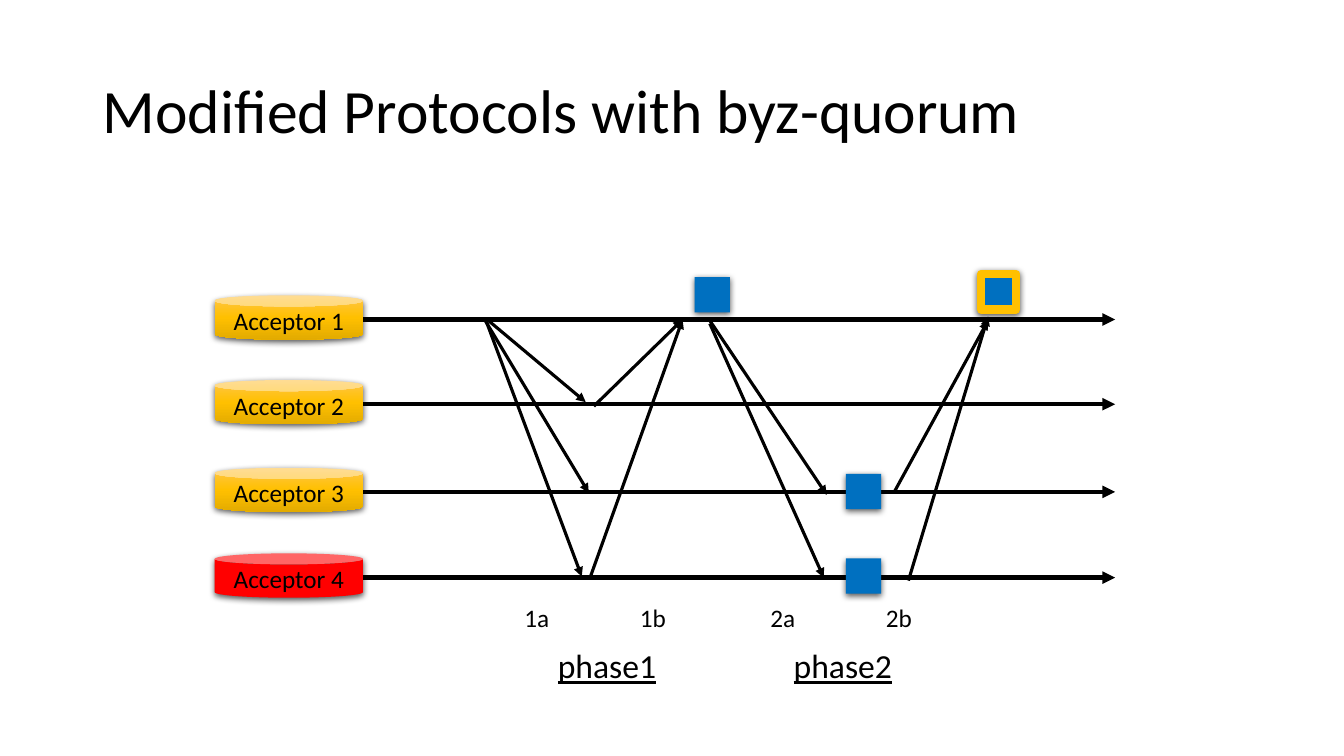
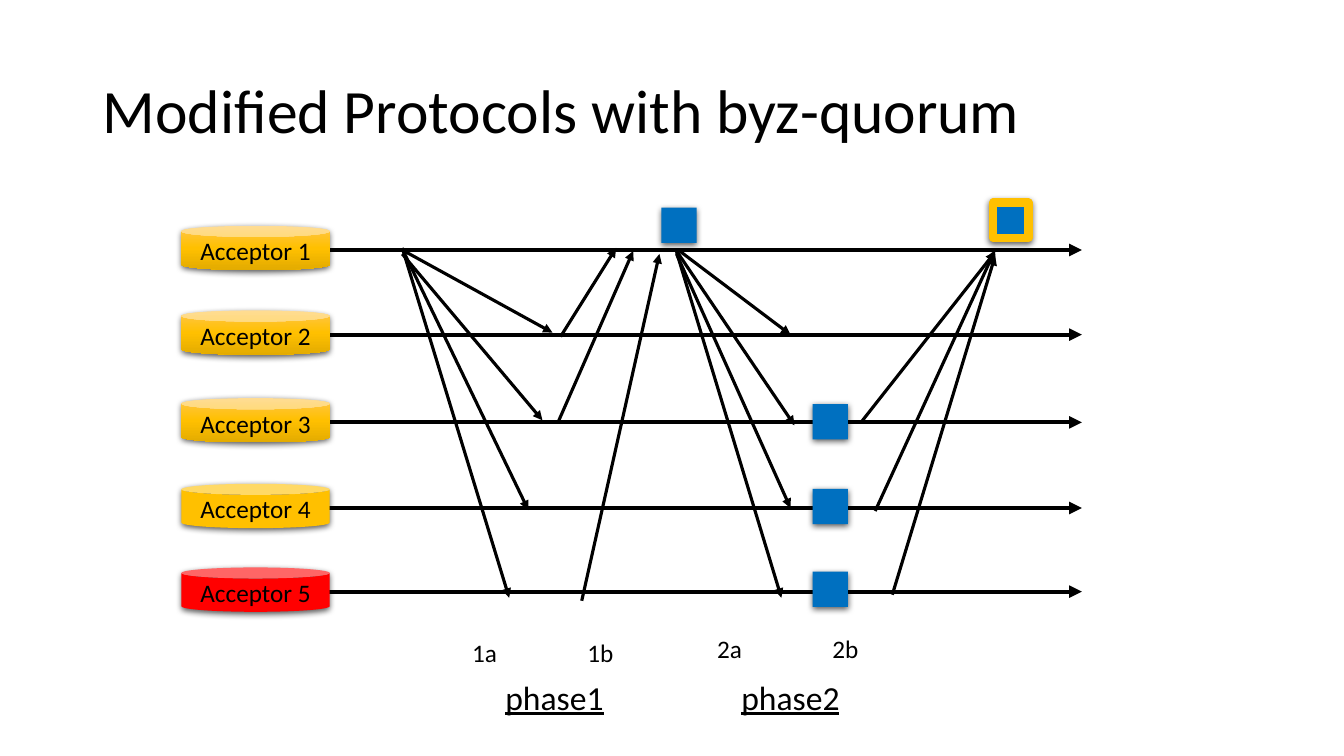
"""Build two slides of message flow between acceptors in a quorum protocol."""
from copy import deepcopy

from pptx import Presentation
from pptx.dml.color import RGBColor
from pptx.enum.shapes import MSO_CONNECTOR, MSO_SHAPE
from pptx.enum.text import MSO_ANCHOR, MSO_AUTO_SIZE, PP_ALIGN
from pptx.oxml import parse_xml
from pptx.oxml.ns import nsdecls, qn
from pptx.util import Inches, Pt

BLACK = RGBColor(0x00, 0x00, 0x00)
BLUE = RGBColor(0x00, 0x70, 0xC0)
RED = RGBColor(0xFF, 0x00, 0x00)
GOLD = RGBColor(0xFF, 0xC0, 0x00)
LIGHT_GOLD = RGBColor(0xFF, 0xC6, 0x4B)
DARK_GOLD = RGBColor(0xE3, 0xAB, 0x00)
FONT = "Calibri"
TITLE = "Modified Protocols with byz-quorum"
LANE_OFFSETS = (0, 0.84, 1.71, 2.56, 3.39)
LANE_LENGTH = 8.39
CAN_WIDTH, CAN_HEIGHT = 1.47, 0.44
SQUARE = 0.35
STEP_GAP = 1.15

DIAGRAMS = [
    {
        "left": 2.13, "top": 3.17, "fills": ("gradient", "gradient", "gradient", RED),
        "messages": [
            (4.82, 3.16, 5.81, 3.99), (4.8, 3.16, 5.84, 4.89), (4.82, 3.18, 5.77, 5.72),
            (5.89, 4.03, 6.77, 3.17), (5.86, 5.71, 6.77, 3.17),
            (7.04, 3.18, 8.2, 4.91), (7.04, 3.21, 8.17, 5.73),
            (8.87, 4.88, 9.8, 3.18), (9.01, 5.76, 9.8, 3.14),
        ],
        "squares": [(6.89, 2.75), (8.39, 4.7), (8.39, 5.54)],
        "chosen": (9.73, 2.72),
        "phases": [("1", 6.02, 5.9, 5.93), ("2", 8.36, 8.34, 5.93)],
        "phase_top": 6.34,
    },
    {
        "left": 1.8, "top": 2.48, "fills": ("gradient", "gradient", "gradient", GOLD, RED),
        "messages": [
            (3.99, 2.48, 5.48, 3.3), (3.99, 2.52, 5.38, 4.17),
            (3.99, 2.47, 5.24, 5.06), (3.99, 2.46, 5.05, 5.93),
            (5.56, 3.34, 6.11, 2.46), (5.53, 4.2, 6.28, 2.49), (5.77, 5.96, 6.54, 2.52),
            (6.74, 2.49, 7.84, 3.32), (6.71, 2.49, 7.88, 4.22),
            (6.71, 2.52, 7.84, 5.04), (6.71, 2.5, 7.75, 5.93),
            (8.54, 4.19, 9.87, 2.5), (8.68, 5.07, 9.87, 2.48), (8.85, 5.9, 9.87, 2.54),
        ],
        "squares": [(6.56, 2.06), (8.06, 4.01), (8.06, 4.85), (8.06, 5.67)],
        "chosen": (9.85, 2.01),
        "phases": [("1", 5.5, 5.38, 6.27), ("2", 7.84, 7.81, 6.23)],
        "phase_top": 6.65,
    },
]


def add_arrow(page, ends, width):
    arrow = page.shapes.add_connector(MSO_CONNECTOR.STRAIGHT, *map(Inches, ends))
    arrow.line.color.rgb = BLACK
    arrow.line.width = Pt(width)
    properties = arrow._element.spPr
    properties.find(qn("a:ln")).append(parse_xml(f'<a:tailEnd {nsdecls("a")} type="triangle"/>'))
    properties.append(parse_xml(f'<a:effectLst {nsdecls("a")}/>'))


def add_block(page, kind, left, top, width, height, color):
    block = page.shapes.add_shape(kind, *map(Inches, (left, top, width, height)))
    block.line.fill.background()
    if color == "gradient":
        block.fill.gradient()
        block.fill.gradient_angle = 270
        stop_list = block._element.spPr.find(".//" + qn("a:gsLst"))
        stop_list.insert(1, deepcopy(stop_list[0]))
        colors = (LIGHT_GOLD, GOLD, DARK_GOLD)
        for stop, position, shade in zip(block.fill.gradient_stops, (0, 0.5, 1), colors):
            stop.position = position
            stop.color.rgb = shade
    else:
        block.fill.solid()
        block.fill.fore_color.rgb = color
    block.shadow.inherit = False
    block._element.spPr.find(qn("a:effectLst")).append(parse_xml(
        f'<a:outerShdw {nsdecls("a")} blurRad="57150" dist="19050" dir="5400000" '
        'algn="ctr" rotWithShape="0"><a:srgbClr val="000000"><a:alpha val="63000"/>'
        '</a:srgbClr></a:outerShdw>'))
    return block


deck = Presentation()
deck.slide_width, deck.slide_height = Inches(13.33), Inches(7.5)

for diagram in DIAGRAMS:
    page = deck.slides.add_slide(deck.slide_layouts[5])
    title = page.shapes.title
    title.left, title.top = Inches(0.92), Inches(0.4)
    title.width, title.height = Inches(11.5), Inches(1.45)
    title.text_frame.text = TITLE
    title.text_frame.auto_size = MSO_AUTO_SIZE.NONE
    title.text_frame.vertical_anchor = MSO_ANCHOR.MIDDLE
    para = title.text_frame.paragraphs[0]
    para.alignment = PP_ALIGN.LEFT
    para.line_spacing = 0.9
    para.font.name, para.font.size = FONT, Pt(44)
    para.font.color.rgb = BLACK

    left = diagram["left"]
    for number, (offset, color) in enumerate(zip(LANE_OFFSETS, diagram["fills"]), 1):
        lane = diagram["top"] + offset
        start = left + 0.54
        add_arrow(page, (start, lane, start + LANE_LENGTH, lane), 3)
        can = add_block(page, MSO_SHAPE.CAN, left, lane - 0.24, CAN_WIDTH, CAN_HEIGHT, color)
        can.text_frame.text = f"Acceptor {number}"
        can.text_frame.vertical_anchor = MSO_ANCHOR.MIDDLE
        para = can.text_frame.paragraphs[0]
        para.alignment = PP_ALIGN.CENTER
        para.font.name, para.font.size = FONT, Pt(18)
        para.font.color.rgb = BLACK

    for ends in diagram["messages"]:
        add_arrow(page, ends, 2.25)
    for corner in diagram["squares"]:
        add_block(page, MSO_SHAPE.RECTANGLE, *corner, SQUARE, SQUARE, BLUE)
    chosen = add_block(page, MSO_SHAPE.RECTANGLE, *diagram["chosen"], SQUARE, SQUARE, BLUE)
    chosen.line.color.rgb = GOLD
    chosen.line.width = Pt(6)

    for phase, phase_center, step_center, step_top in diagram["phases"]:
        labels = [
            (f"phase{phase}", phase_center, diagram["phase_top"], 2, 0.52, 24),
            (f"{phase}a", step_center - STEP_GAP / 2, step_top, 0.6, 0.4, 18),
            (f"{phase}b", step_center + STEP_GAP / 2, step_top, 0.6, 0.4, 18),
        ]
        for words, center, top, width, height, size in labels:
            box = page.shapes.add_textbox(
                *map(Inches, (center - width / 2, top, width, height)))
            box.text_frame.word_wrap = True
            box.text_frame.vertical_anchor = MSO_ANCHOR.MIDDLE
            box.text_frame.text = words
            para = box.text_frame.paragraphs[0]
            para.alignment = PP_ALIGN.CENTER
            para.font.name, para.font.size = FONT, Pt(size)
            para.font.color.rgb = BLACK
            para.font.underline = words.startswith("phase")

deck.save("out.pptx")
